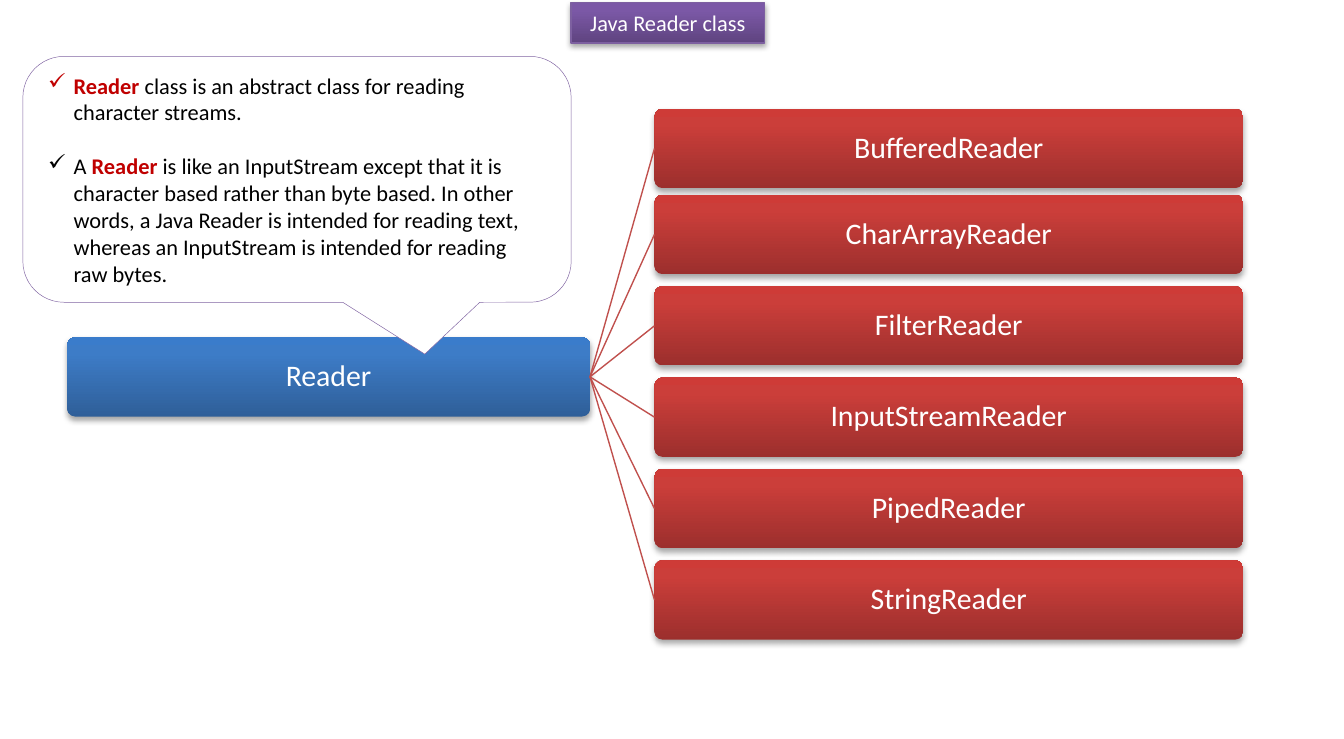
from dataclasses import dataclass

from lxml import etree
from pptx import Presentation
from pptx import util as u
from pptx.dml import color
from pptx.enum import shapes, text
from pptx.oxml import ns

FONT = "Calibri"
WHITE, BLACK, KEYWORD = "FFFFFF", "000000", "C00000"
PURPLE = ("5F4480", "7B58A6", "7C57A8")
BLUE = ("2F5F99", "3D7CC7", "3A7CCB")
RED = ("9C2F2D", "CB3E3A", "CE3B37")
STOPS = (0, 80, 100)
BOX_HEIGHT = 0.59


@dataclass
class Box:
    label: str
    left: float
    top: float
    width: float
    height: float
    colors: tuple[str, str, str]


def rgb(value: str) -> color.RGBColor:
    return color.RGBColor.from_string(value)


def add_child(parent, tag: str, **attributes: str):
    return etree.SubElement(parent, ns.qn(tag), **attributes)


def style_run(run, size: int, hex_color: str, bold: bool = False) -> None:
    run.font.name = FONT
    run.font.size = u.Pt(size)
    run.font.bold = bold
    run.font.color.rgb = rgb(hex_color)


def add_gradient(shape, colors: tuple[str, str, str]) -> None:
    shape.fill.gradient()
    shape.fill.gradient_angle = 90
    stops = shape._element.spPr.find(ns.qn("a:gradFill")).find(ns.qn("a:gsLst"))
    for stop in list(stops):
        stops.remove(stop)
    for position, value in zip(STOPS, colors):
        stop = add_child(stops, "a:gs", pos=str(position * 1000))
        add_child(stop, "a:srgbClr", val=value)


def add_shadow(shape) -> None:
    shape.shadow.inherit = False
    effects = shape._element.spPr.find(ns.qn("a:effectLst"))
    shadow = add_child(effects, "a:outerShdw", blurRad=str(u.Pt(3.1)),
                       dist=str(u.Pt(1.8)), dir="5400000", rotWithShape="0")
    shade = add_child(shadow, "a:srgbClr", val=BLACK)
    add_child(shade, "a:alpha", val="35000")


def add_box(slide, box: Box, kind: shapes.MSO_SHAPE, size: int):
    shape = slide.shapes.add_shape(kind, u.Inches(box.left), u.Inches(box.top),
                                   u.Inches(box.width), u.Inches(box.height))
    add_gradient(shape, box.colors)
    shape.line.fill.background()
    add_shadow(shape)
    frame = shape.text_frame
    frame.text = box.label
    frame.word_wrap = True
    paragraph = frame.paragraphs[0]
    paragraph.alignment = text.PP_ALIGN.CENTER
    style_run(paragraph.runs[0], size, WHITE)
    return shape


def add_class(slide, box: Box):
    shape = add_box(slide, box, shapes.MSO_SHAPE.ROUNDED_RECTANGLE, 16)
    shape.adjustments[0] = 0.1
    frame = shape.text_frame
    frame.vertical_anchor = text.MSO_ANCHOR.MIDDLE
    frame.margin_left = frame.margin_right = u.Inches(0.03)
    frame.margin_top = frame.margin_bottom = u.Inches(0.03)
    frame.paragraphs[0].line_spacing = 0.9
    return shape


def add_link(slide, parent, child) -> None:
    link = slide.shapes.add_connector(shapes.MSO_CONNECTOR.STRAIGHT, 0, 0, 0, 0)
    link.begin_connect(parent, 3)
    link.end_connect(child, 1)
    link.line.color.rgb = rgb("C0504D")
    link.line.width = u.Pt(0.75)
    add_child(link._element.spPr, "a:effectLst")


def add_check_item(paragraph, parts: list[tuple[str, str]]) -> None:
    properties = paragraph._p.get_or_add_pPr()
    properties.set("marL", str(u.Inches(0.19)))
    properties.set("indent", str(u.Inches(-0.19)))
    add_child(properties, "a:buChar", char="✓")
    paragraph.alignment = text.PP_ALIGN.LEFT
    for words, hex_color in parts:
        run = paragraph.add_run()
        run.text = words
        style_run(run, 12, hex_color, bold=hex_color == KEYWORD)


def add_callout(slide, items: list[list[tuple[str, str]]]) -> None:
    callout = slide.shapes.add_shape(
        shapes.MSO_SHAPE.ROUNDED_RECTANGULAR_CALLOUT,
        u.Inches(0.17), u.Inches(0.42), u.Inches(4.08), u.Inches(1.83))
    for index, value in enumerate((0.233, 0.711, 0.167)):
        callout.adjustments[index] = value
    callout.fill.solid()
    callout.fill.fore_color.rgb = rgb(WHITE)
    callout.line.color.rgb = rgb("8064A2")
    callout.line.width = u.Pt(0.25)
    callout.shadow.inherit = False
    frame = callout.text_frame
    frame.word_wrap = True
    frame.vertical_anchor = text.MSO_ANCHOR.MIDDLE
    for index, parts in enumerate(items):
        paragraph = frame.add_paragraph() if index else frame.paragraphs[0]
        add_check_item(paragraph, parts)
        if index:
            paragraph.space_before = u.Pt(14.6)


def main() -> None:
    prs = Presentation()
    prs.slide_width, prs.slide_height = u.Inches(10), u.Inches(5.5)
    slide = prs.slides.add_slide(prs.slide_layouts[6])

    # Title
    title = add_box(slide, Box("Java Reader class", 4.25, 0.02, 1.44, 0.3, PURPLE),
                    shapes.MSO_SHAPE.RECTANGLE, 12)
    title.text_frame.vertical_anchor = text.MSO_ANCHOR.TOP
    title.line.color.rgb = rgb("7D60A0")
    title.line.width = u.Pt(0.75)

    # Class tree: the first subclass sits slightly closer to the second
    reader = add_class(slide, Box("Reader", 0.5, 2.51, 3.89, BOX_HEIGHT, BLUE))
    subclasses = ("BufferedReader", "CharArrayReader", "FilterReader",
                  "InputStreamReader", "PipedReader", "StringReader")
    tops = [0.81] + [1.45 + 0.68 * row for row in range(len(subclasses) - 1)]
    for name, top in zip(subclasses, tops):
        subclass = add_class(slide, Box(name, 4.87, top, 4.38, BOX_HEIGHT, RED))
        add_link(slide, reader, subclass)

    # Explanation of the parent class
    add_callout(slide, [
        [("Reader ", KEYWORD),
         ("class is an abstract class for reading character streams.", BLACK)],
        [("A ", BLACK), ("Reader", KEYWORD),
         (" is like an InputStream except that it is character based rather than "
          "byte based. In other words, a Java Reader is intended for reading text, "
          "whereas an InputStream is intended for reading raw bytes.", BLACK)],
    ])
    prs.save("out.pptx")


if __name__ == "__main__":
    main()
